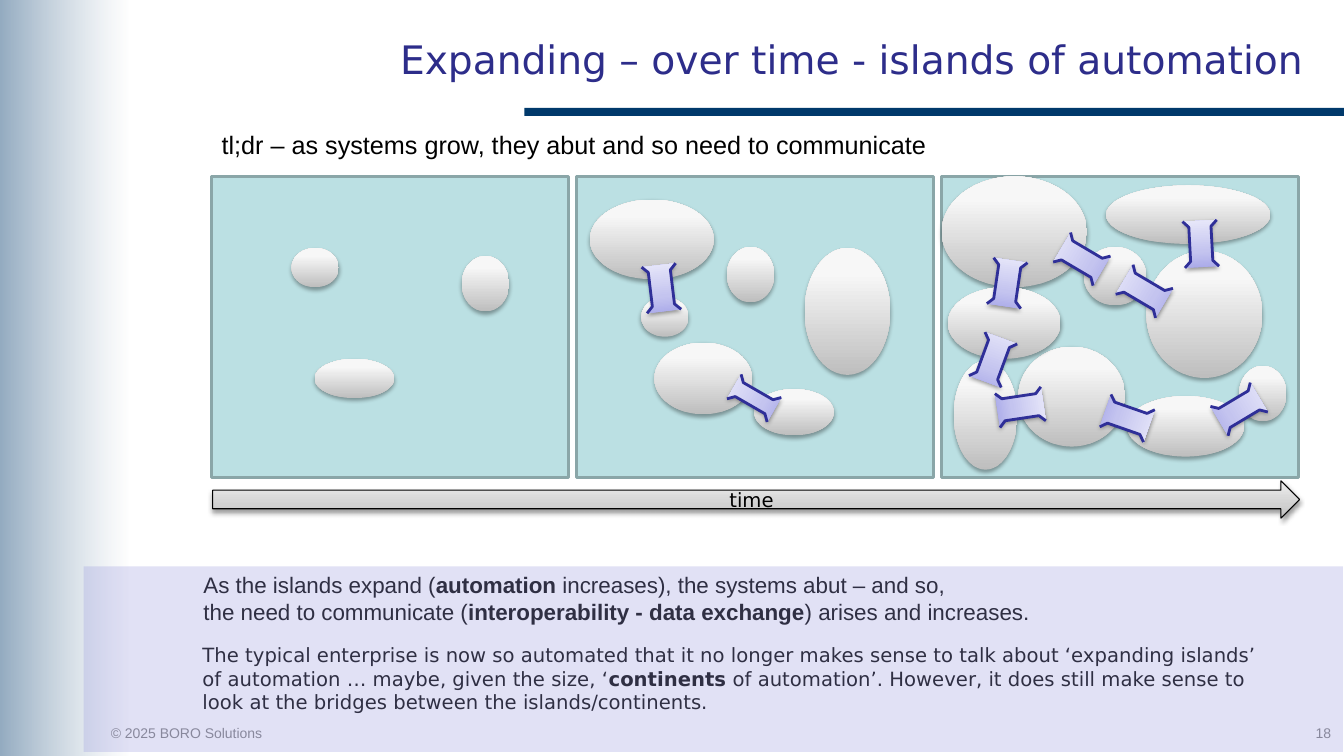
from math import cos, radians, sin

from lxml import etree
from pptx import Presentation
from pptx.dml.color import RGBColor
from pptx.enum.shapes import MSO_SHAPE
from pptx.enum.text import MSO_ANCHOR, PP_ALIGN
from pptx.oxml.ns import qn
from pptx.util import Inches, Pt

RECTANGLE, OVAL, ARROW = MSO_SHAPE.RECTANGLE, MSO_SHAPE.OVAL, MSO_SHAPE.RIGHT_ARROW
MIDDLE, TOP = MSO_ANCHOR.MIDDLE, MSO_ANCHOR.TOP
LEFT, CENTER, RIGHT = PP_ALIGN.LEFT, PP_ALIGN.CENTER, PP_ALIGN.RIGHT
SANS, ARIAL = "DejaVu Sans", "Arial"

ISLAND_STOPS = [(0, "BEBEBE", 100), (80, "F7F7F7", 100), (100, "F8F8F8", 100)]
BRIDGE_STOPS = [(0, "A9A9E9", 100), (35, "C4C4EF", 100), (100, "E8E8FA", 100)]
ARROW_STOPS = [(0, "BDBDBD", 100), (35, "D1D1D1", 100), (100, "EEEEEE", 100)]
MARGIN_STOPS = [(0, "01396C", 61), (100, "FFFFFF", 41)]

PANEL_LEFT, PANEL_STEP = 2.1, 3.62
ISLANDS = [
    [(2.89, 2.46, 0.47, 0.39), (3.12, 3.56, 0.79, 0.39), (4.58, 2.54, 0.47, 0.55)],
    [(5.85, 1.98, 1.23, 0.79), (6.49, 3.4, 0.97, 0.71), (7.98, 2.46, 0.85, 1.26),
     (6.36, 2.95, 0.47, 0.39), (7.48, 3.86, 0.79, 0.46), (7.21, 2.45, 0.47, 0.55)],
    [(9.46, 3.58, 0.63, 1.08), (10.97, 1.84, 1.63, 0.58), (12.29, 3.63, 0.47, 0.55),
     (9.34, 1.75, 1.44, 1.1), (10.1, 3.44, 1.06, 0.99), (11.37, 2.49, 1.15, 1.26),
     (9.4, 2.85, 1.12, 0.71), (11.18, 3.93, 1.16, 0.6), (10.75, 2.45, 0.62, 0.58)],
]
BRIDGE_WIDTH, BRIDGE_HEIGHT, FLARE = 0.34, 0.46, 0.06
BRIDGES = [
    (7.48, 3.95, 300, 0.28), (9.99, 2.81, 8.4, BRIDGE_WIDTH),
    (9.85, 3.57, 20.2, BRIDGE_WIDTH), (10.12, 4.04, 81.5, BRIDGE_WIDTH),
    (11.18, 4.15, 109.2, BRIDGE_WIDTH), (12.29, 4.06, 59.1, BRIDGE_WIDTH),
    (10.73, 2.57, 300.6, BRIDGE_WIDTH), (11.35, 2.89, 300.6, BRIDGE_WIDTH),
    (11.91, 2.42, 357, BRIDGE_WIDTH), (6.56, 2.86, 353.2, BRIDGE_WIDTH),
]


def rgb(value):
    """Turn a hex string into a colour."""
    return RGBColor.from_string(value)


def set_solid(shape, color, opacity=100):
    """Fill a shape with one colour, optionally see-through."""
    shape.fill.solid()
    shape.fill.fore_color.rgb = rgb(color)
    if opacity < 100:
        node = shape.fill._xPr.find(qn("a:solidFill"))[0]
        etree.SubElement(node, qn("a:alpha"), val=str(opacity * 1000))


def set_gradient(shape, stops, angle):
    """Fill a shape with a linear gradient of (position, colour, opacity) stops."""
    shape.fill.gradient()
    gradient = shape.fill._xPr.find(qn("a:gradFill"))
    for child in list(gradient):
        gradient.remove(child)
    stop_list = etree.SubElement(gradient, qn("a:gsLst"))
    for position, color, opacity in stops:
        stop = etree.SubElement(stop_list, qn("a:gs"), pos=str(position * 1000))
        node = etree.SubElement(stop, qn("a:srgbClr"), val=color)
        if opacity < 100:
            etree.SubElement(node, qn("a:alpha"), val=str(opacity * 1000))
    etree.SubElement(gradient, qn("a:lin"), ang=str(angle * 60000), scaled="0")


def set_line(shape, color=None, width=1):
    """Outline a shape, or remove its outline."""
    if color is None:
        shape.line.fill.background()
    else:
        shape.line.color.rgb = rgb(color)
        shape.line.width = Pt(width)


def add_shadow(shape, opacity, distance):
    """Cast a soft shadow straight down."""
    effects = shape._element.spPr.find(qn("a:effectLst"))
    shadow = etree.SubElement(
        effects, qn("a:outerShdw"), blurRad=str(Pt(3.1)), dist=str(Pt(distance)),
        dir="5400000", rotWithShape="0")
    node = etree.SubElement(shadow, qn("a:srgbClr"), val="000000")
    etree.SubElement(node, qn("a:alpha"), val=str(opacity * 1000))


def add_block(slide, kind, box):
    """Add a preset shape without outline or shadow."""
    shape = slide.shapes.add_shape(kind, *map(Inches, box))
    shape.shadow.inherit = False
    set_line(shape)
    return shape


def write(shape, paragraphs, size, font, color="000000", align=LEFT, anchor=TOP):
    """Write paragraphs, each a list of pieces whose odd ones are bold."""
    frame = shape.text_frame
    frame.word_wrap = True
    frame.vertical_anchor = anchor
    for index, pieces in enumerate(paragraphs):
        paragraph = frame.add_paragraph() if index else frame.paragraphs[0]
        paragraph.alignment = align
        for position, piece in enumerate(pieces):
            run = paragraph.add_run()
            run.text = piece
            run.font.size = Pt(size)
            run.font.name = font
            run.font.bold = position % 2 == 1
            run.font.color.rgb = rgb(color)


def add_text(slide, box, paragraphs, size, font, **style):
    """Add a wrapped text box."""
    write(slide.shapes.add_textbox(*map(Inches, box)), paragraphs, size, font, **style)


def add_island(slide, box):
    """Add a shaded oval system."""
    island = add_block(slide, OVAL, box)
    set_gradient(island, ISLAND_STOPS, 270)
    add_shadow(island, 35, 1.8)


def add_outline(slide, points, center, angle, close):
    """Add a freeform centred on a point and turned by an angle."""
    start, *rest = [(Inches(x), Inches(y)) for x, y in points]
    builder = slide.shapes.build_freeform(*start)
    builder.add_line_segments(rest, close=close)
    outline = builder.convert_to_shape()
    outline.left = Inches(center[0]) - outline.width // 2
    outline.top = Inches(center[1]) - outline.height // 2
    outline.rotation = angle
    outline.shadow.inherit = False
    return outline


def add_bridge(slide, x, y, angle, width):
    """Add a flared bridge deck with a rail along each side."""
    left_rail = [(0, 0), (FLARE, FLARE), (FLARE, BRIDGE_HEIGHT - FLARE), (0, BRIDGE_HEIGHT)]
    right_rail = [(width - px, py) for px, py in left_rail]
    deck = add_outline(slide, left_rail + right_rail[::-1], (x, y), angle, True)
    set_gradient(deck, BRIDGE_STOPS, 270)
    set_line(deck)
    add_shadow(deck, 38, 1.6)
    reach = (width - FLARE) / 2
    for rail, offset in ((right_rail, reach), (left_rail, -reach)):
        center = (x + offset * cos(radians(angle)), y + offset * sin(radians(angle)))
        edge = add_outline(slide, rail, center, angle, False)
        edge.fill.background()
        set_line(edge, "2F2F98", 2)


def add_frame(slide):
    """Add the title, its rule, the shaded margin and the copyright line."""
    set_solid(add_block(slide, RECTANGLE, (5.2, 1.07, 8.13, 0.08)), "00396B")
    margin = (0, 0, 1.27, 7.5)
    set_gradient(add_block(slide, RECTANGLE, margin), MARGIN_STOPS, 0)
    set_solid(add_block(slide, RECTANGLE, margin), "FFFFFF", 30)
    add_text(slide, (1, 7.14, 2.52, 0.27), [["© 2025 BORO Solutions"]], 10, ARIAL, color="808080")
    add_text(slide, (1.23, 0.15, 11.79, 0.87), [["Expanding – over time - islands of automation"]],
             28, SANS, color="2D2D8A", align=RIGHT, anchor=MIDDLE)


def add_timeline(slide):
    """Add the three stages with their islands and bridges, and the time arrow."""
    for stage, islands in enumerate(ISLANDS):
        panel = add_block(slide, RECTANGLE, (PANEL_LEFT + stage * PANEL_STEP, 1.75, 3.54, 2.99))
        set_solid(panel, "BBE0E3")
        set_line(panel, "8AA6A8", 2)
        for box in islands:
            add_island(slide, box)
    for bridge in BRIDGES:
        add_bridge(slide, *bridge)
    time = add_block(slide, ARROW, (2.11, 4.77, 10.78, 0.37))
    set_gradient(time, ARROW_STOPS, 270)
    set_line(time, "000000", 0.75)
    add_shadow(time, 38, 1.6)
    write(time, [["time"]], 14, SANS, align=CENTER, anchor=MIDDLE)


def add_messages(slide):
    """Add the summary, the conclusions and the tinted band over them."""
    add_text(slide, (2.1, 1.23, 10.78, 0.4),
             [["tl;dr – as systems grow, they abut and so need to communicate"]], 18, ARIAL)
    add_text(slide, (1.92, 5.62, 9.66, 0.64), [
        ["As the islands expand (", "automation", " increases), the systems abut – and so,"],
        ["the need to communicate (", "interoperability - data exchange",
         ") arises and increases."]], 16, ARIAL)
    add_text(slide, (1.91, 6.33, 10.85, 0.81), [[
        "The typical enterprise is now so automated that it no longer makes sense to talk about "
        "‘expanding islands’ of automation … maybe, given the size, ‘", "continents",
        " of automation’. However, it does still make sense to look at the bridges between the "
        "islands/continents."]], 14, SANS)
    add_text(slide, (12.02, 7.14, 1.28, 0.31), [["18"]], 10, ARIAL, color="808080", align=RIGHT)
    set_solid(add_block(slide, RECTANGLE, (0.83, 5.62, 12.49, 1.84)), "9C9CDF", 30)


def main():
    """Build the slide and save it."""
    deck = Presentation()
    deck.slide_width, deck.slide_height = Inches(13.33), Inches(7.5)
    slide = deck.slides.add_slide(deck.slide_layouts[6])
    add_frame(slide)
    add_timeline(slide)
    add_messages(slide)
    deck.save("out.pptx")


if __name__ == "__main__":
    main()
